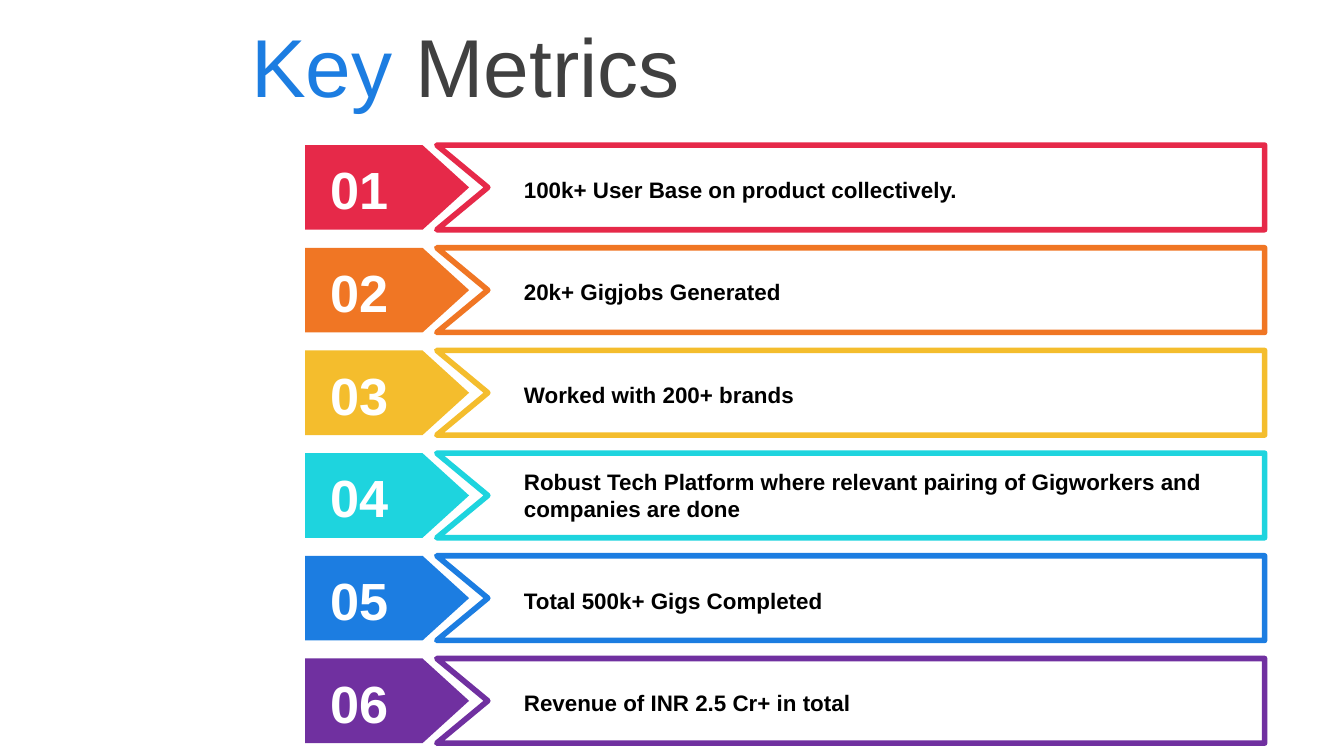
from lxml import etree
from pptx import Presentation
from pptx.dml.color import RGBColor
from pptx.enum.shapes import MSO_SHAPE
from pptx.enum.text import MSO_ANCHOR
from pptx.oxml.ns import qn
from pptx.util import Inches, Pt

PENTAGON = MSO_SHAPE.PENTAGON
TOP, MIDDLE = MSO_ANCHOR.TOP, MSO_ANCHOR.MIDDLE
FONT = "Arial"

TITLE = [("Key", "1C7DE1"), (" Metrics", "404040")]
METRICS = [
    ("100k+ User Base on product collectively.", "E62949", 1),
    ("20k+ Gigjobs Generated", "F07624", 1),
    ("Worked with 200+ brands", "F4BD2D", 1),
    ("Robust Tech Platform where relevant pairing of Gigworkers and companies are done",
     "1ED4DE", 2),
    ("Total 500k+ Gigs Completed", "1C7DE1", 1),
    ("Revenue of INR 2.5 Cr+ in total", "7030A0", 1),
]

SLIDE_WIDTH = 10
SLIDE_HEIGHT = SLIDE_WIDTH * 9 / 16
FIRST_ROW, LAST_ROW, ROW_HEIGHT = 1.08, 4.9, 0.63
ROW_STEP = (LAST_ROW - FIRST_ROW) / (len(METRICS) - 1)
TAG_LEFT, TAG_WIDTH = 2.27, 1.22
PANEL_LEFT, PANEL_RIGHT, NOTCH = 3.25, 9.41, 0.38
NUMBER_LEFT, NUMBER_WIDTH, NUMBER_HEIGHT = 2.36, 0.66, 0.47
LABEL_LEFT, LABEL_WIDTH, LINE_HEIGHT = 3.8, 5.3, 0.2


def color(value):
    return RGBColor.from_string(value)


def add_text(page, place, spans, size, bold=False, anchor=MIDDLE, margin=0.05):
    box = page.shapes.add_textbox(*map(Inches, place))
    frame = box.text_frame
    frame.word_wrap = True
    frame.vertical_anchor = anchor
    frame.margin_top = frame.margin_bottom = Inches(margin)
    para = frame.paragraphs[0]
    for text, fill in spans:
        span = para.add_run()
        span.text = text
        span.font.name = FONT
        span.font.size = Pt(size)
        span.font.bold = bold
        span.font.color.rgb = color(fill)


def add_tag(page, top, fill):
    tag = page.shapes.add_shape(
        PENTAGON, *map(Inches, (TAG_LEFT, top, TAG_WIDTH, ROW_HEIGHT)))
    tag.adjustments[0] = 0.55
    tag.shadow.inherit = False
    tag.fill.solid()
    tag.fill.fore_color.rgb = color(fill)
    tag.line.fill.background()


def add_panel(page, top, outline):
    bottom = top + ROW_HEIGHT
    points = [(PANEL_RIGHT, top), (PANEL_RIGHT, bottom), (PANEL_LEFT, bottom),
              (PANEL_LEFT + NOTCH, top + ROW_HEIGHT / 2)]
    builder = page.shapes.build_freeform(Inches(PANEL_LEFT), Inches(top))
    builder.add_line_segments([(Inches(x), Inches(y)) for x, y in points], close=True)
    panel = builder.convert_to_shape()
    panel.shadow.inherit = False
    panel.fill.solid()
    panel.fill.fore_color.rgb = color("FFFFFF")
    panel.line.color.rgb = color(outline)
    panel.line.width = Pt(3)
    etree.SubElement(panel.element.spPr.find(qn("a:ln")), qn("a:round"))


def add_metric(page, index, text, accent, lines):
    top = FIRST_ROW + index * ROW_STEP
    label_top = top + 0.3 - 0.12 * lines
    label_height = 0.1 + lines * LINE_HEIGHT
    add_tag(page, top, accent)
    add_panel(page, top, accent)
    add_text(page, (NUMBER_LEFT, top + 0.09, NUMBER_WIDTH, NUMBER_HEIGHT),
             [(f"{index + 1:02}", "FFFFFF")], 28, bold=True, margin=0)
    add_text(page, (LABEL_LEFT, label_top, LABEL_WIDTH, label_height),
             [(text, "000000")], 12, bold=True, anchor=TOP)


def main():
    deck = Presentation()
    deck.slide_width, deck.slide_height = Inches(SLIDE_WIDTH), Inches(SLIDE_HEIGHT)
    page = deck.slides.add_slide(deck.slide_layouts[6])
    add_text(page, (1.77, 0, 8.23, 0.97), TITLE, 44)
    for index, metric in enumerate(METRICS):
        add_metric(page, index, *metric)
    deck.save("out.pptx")


if __name__ == "__main__":
    main()
